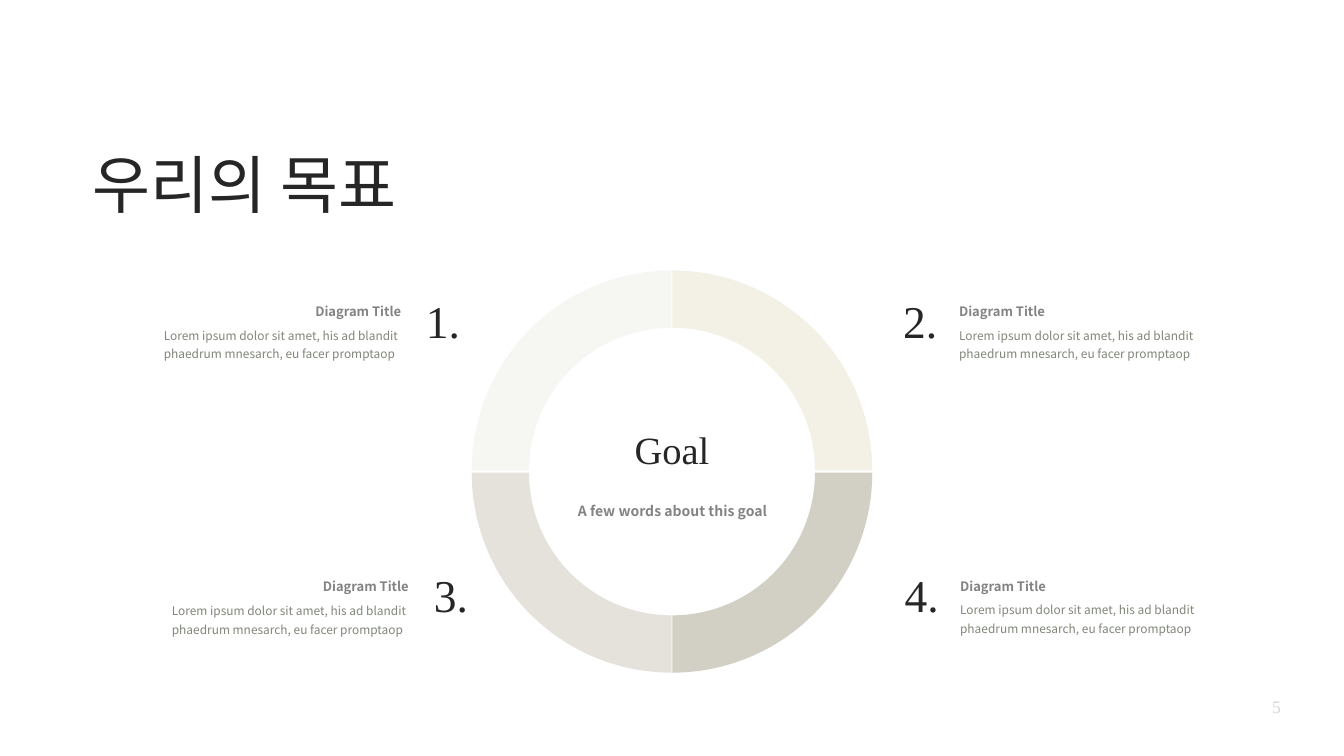
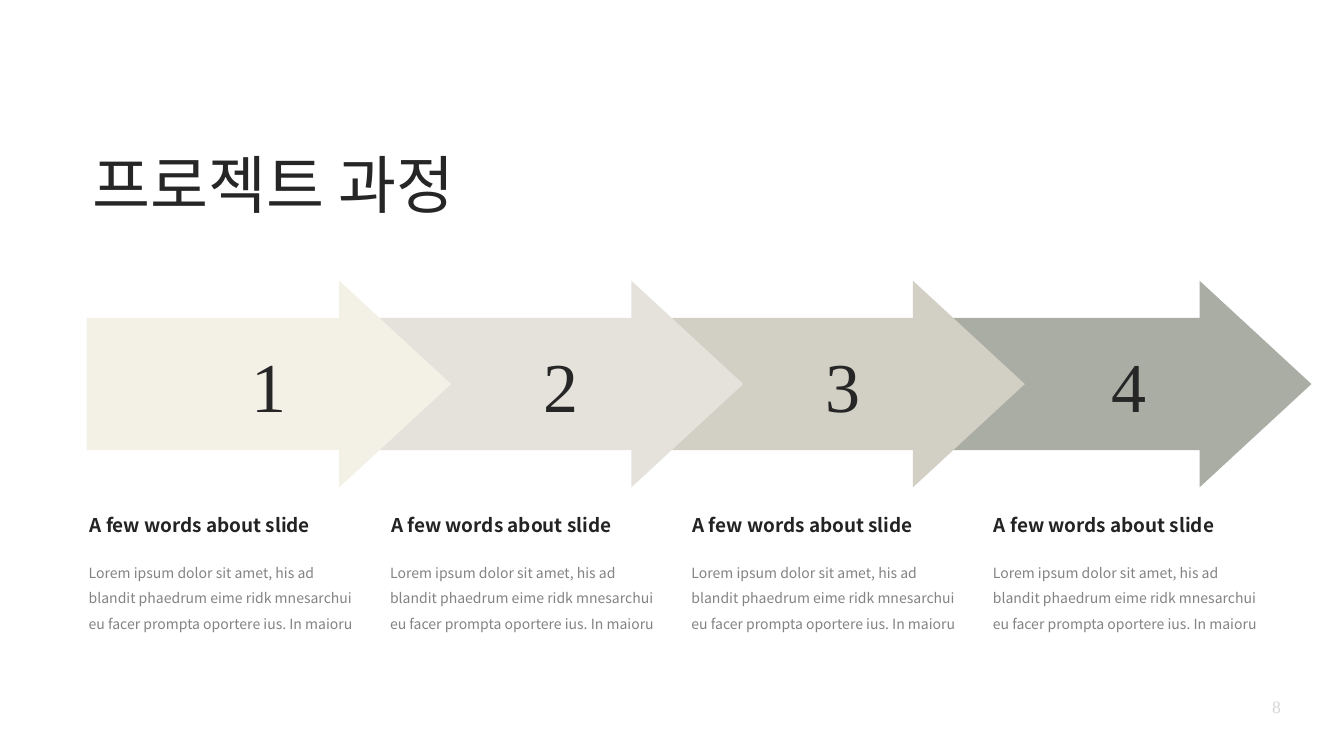
import math
from dataclasses import dataclass

import pptx
import pptx.dml.color
import pptx.enum.text
import pptx.oxml.ns
import pptx.util
from lxml import etree

ALIGN = pptx.enum.text.PP_ALIGN
ANCHOR = pptx.enum.text.MSO_ANCHOR


@dataclass(frozen=True)
class Style:
    size: float
    font: str
    color: str
    bold: bool = False
    line: float = 1.0
    inset: float = 0.06
    wrap: bool = True


class Theme:
    sans, serif = "Noto Sans CJK KR", "Times New Roman"
    ink, gray = "262626", "838383"
    white, mist, cream = "FFFFFF", "F6F6F3", "F3F1E6"
    linen, stone, sage = "E5E2DC", "D2CFC4", "A9ADA4"

    title = Style(90, sans, ink)
    page = Style(25, serif, "D5D5D5", line=1.35, wrap=False)
    goal = Style(55, serif, ink)
    goal_note = Style(20, sans, gray, True, 1.5, 0.08)
    item_number = Style(65, serif, ink)
    item_title = Style(18.5, sans, gray, True, 1.4, 0.08)
    item_body = Style(17, sans, "818779", line=1.3, inset=0.08)
    step_number = Style(100, serif, ink)
    step_title = Style(27, sans, "232323", True, inset=0.08)
    step_body = Style(20, sans, gray, line=1.5)


presentation = pptx.Presentation()
presentation.slide_width = pptx.util.Inches(80 / 3)
presentation.slide_height = pptx.util.Inches(15)
# Every position below is counted in cells of an 80 by 45 grid.
COLUMN = presentation.slide_width / 80
ROW = presentation.slide_height / 45


def write_text(shape, text, style, align=ALIGN.LEFT, anchor=ANCHOR.TOP):
    frame = shape.text_frame
    inset = pptx.util.Inches(style.inset)
    frame_format = {"word_wrap": style.wrap, "vertical_anchor": anchor,
                    "margin_left": inset, "margin_right": inset,
                    "margin_top": inset, "margin_bottom": inset}
    for name, value in frame_format.items():
        setattr(frame, name, value)
    paragraph = frame.paragraphs[0]
    paragraph.alignment = align
    if style.line != 1:
        paragraph.line_spacing = style.line
    run = paragraph.add_run()
    run.text = text
    font_format = {"size": pptx.util.Pt(style.size), "name": style.font, "bold": style.bold}
    for name, value in font_format.items():
        setattr(run.font, name, value)
    run.font.color.rgb = pptx.dml.color.RGBColor.from_string(style.color)
    east_asian = etree.SubElement(run.font._element, pptx.oxml.ns.qn("a:ea"))
    east_asian.set("typeface", style.font)


def draw_outline(slide, points, color):
    """Draw a closed, filled polygon through points given in grid cells."""
    corners = [(x * COLUMN, y * ROW) for x, y in points]
    builder = slide.shapes.build_freeform(*corners[0])
    builder.add_line_segments(corners[1:], close=True)
    shape = builder.convert_to_shape()
    shape.shadow.inherit = False
    shape.fill.solid()
    shape.fill.fore_color.rgb = pptx.dml.color.RGBColor.from_string(color)
    shape.line.fill.background()
    return shape


goal_slide, process_slide = [
    presentation.slides.add_slide(presentation.slide_layouts[6]) for _ in range(2)]

# Goal slide: a ring of four quarters, each with a numbered item beside it
ring_outer, ring_inner = 11.9, 8.49
quarters = [  # centre x, centre y, start angle, colour
    (39.98, 28, 180, Theme.mist),
    (40.02, 28, 270, Theme.cream),
    (40.02, 28.14, 0, Theme.stone),
    (39.98, 28.14, 90, Theme.linen),
]
# Each arc is two Bezier curves of 45 degrees: end, handle, handle, end, ...
handle = 4 / 3 * math.tan(math.radians(45) / 4)
arc_knots = [(0, 0), (0, handle), (45, -handle), (45, 0), (45, handle), (90, -handle), (90, 0)]
for center_x, center_y, start, color in quarters:
    outline = []
    for radius, knots in [(ring_outer, arc_knots), (ring_inner, arc_knots[::-1])]:
        for turn, pull in knots:
            angle = math.radians(start + turn)
            outline.append((center_x + radius * (math.cos(angle) - pull * math.sin(angle)),
                            center_y + radius * (math.sin(angle) + pull * math.cos(angle))))
    quarter = draw_outline(goal_slide, outline, color)
    segments = list(quarter._element.iter(pptx.oxml.ns.qn("a:lnTo")))
    # Segment 6 is the straight side between the two arcs.
    for first in (0, 3, 7, 10):
        curve = etree.Element(pptx.oxml.ns.qn("a:cubicBezTo"))
        segments[first].addprevious(curve)
        for segment in segments[first:first + 3]:
            curve.append(segment[0])
            segment.getparent().remove(segment)

goal_texts = [
    ((33.18, 25.2, 13.65, 4.11), "Goal", Theme.goal, ALIGN.CENTER),
    ((32.88, 29.16, 14.31, 2.04), "A few words about this goal", Theme.goal_note, ALIGN.CENTER),
]
item_text = "Lorem ipsum dolor sit amet, his ad blandit phaedrum mnesarch, eu facer promptaop"
items = [  # number, number x, title x, body x, top, body top, title alignment
    ("1.", 25.17, 9.24, 9.51, 17.28, 19.05, ALIGN.RIGHT),
    ("2.", 53.58, 56.85, 56.85, 17.28, 19.05, ALIGN.LEFT),
    ("3.", 25.65, 9.69, 9.99, 33.6, 35.43, ALIGN.RIGHT),
    ("4.", 53.67, 56.91, 56.91, 33.6, 35.37, ALIGN.LEFT),
]
for number, number_x, title_x, body_x, top, body_top, align in items:
    goal_texts += [
        ((number_x, top, 2.82, 4.5), number, Theme.item_number, ALIGN.LEFT),
        ((title_x, top + 0.2, 14.88, 1.74), "Diagram Title", Theme.item_title, align),
        ((body_x, body_top, 14.88, 4.17), item_text, Theme.item_body, ALIGN.LEFT),
    ]

# Process slide: four overlapping arrows, the first one in front
arrow_top, arrow_width, arrow_height = 16.71, 21.7, 12.3
head_start, shaft_inset = 15.04, 2.22
arrows = [(56.36, "4", Theme.sage), (39.3, "3", Theme.stone),
          (22.54, "2", Theme.linen), (5.15, "1", Theme.cream)]
for left, number, color in arrows:
    neck, bottom = left + head_start, arrow_top + arrow_height
    shaft_top, shaft_bottom = arrow_top + shaft_inset, bottom - shaft_inset
    arrow = draw_outline(process_slide, [
        (neck, arrow_top), (neck, shaft_top), (left, shaft_top), (left, shaft_bottom),
        (neck, shaft_bottom), (neck, bottom),
        (left + arrow_width, arrow_top + arrow_height / 2)], color)
    write_text(arrow, number, Theme.step_number, ALIGN.CENTER, ANCHOR.MIDDLE)

step_text = ("Lorem ipsum dolor sit amet, his ad blandit phaedrum eime ridk mnesarchui "
             "eu facer prompta oportere ius. In maioru")
process_texts = []
for step in range(4):
    left = 5.1 + 17.94 * step
    process_texts += [
        ((left, 30.33, 16.56, 2.49), "A few words about slide", Theme.step_title, ALIGN.LEFT),
        ((left, 32.94, 16.56, 6.78), step_text, Theme.step_body, ALIGN.LEFT),
    ]

# Shared background, title and page number, then each slide's own texts
for slide, title, page, texts in [(goal_slide, "우리의 목표", "5", goal_texts),
                                  (process_slide, "프로젝트 과정", "8", process_texts)]:
    slide.background.fill.solid()
    slide.background.fill.fore_color.rgb = pptx.dml.color.RGBColor.from_string(Theme.white)
    shared = [((5.34, 8.46, 35.82, 6.24), title, Theme.title, ALIGN.LEFT),
              ((75.24, 40.8, 1.5, 1.59), page, Theme.page, ALIGN.CENTER)]
    for (left, top, width, height), text, style, align in shared + texts:
        box = slide.shapes.add_textbox(
            *(round(length) for length in
              (left * COLUMN, top * ROW, width * COLUMN, height * ROW)))
        write_text(box, text, style, align)

presentation.save("out.pptx")
